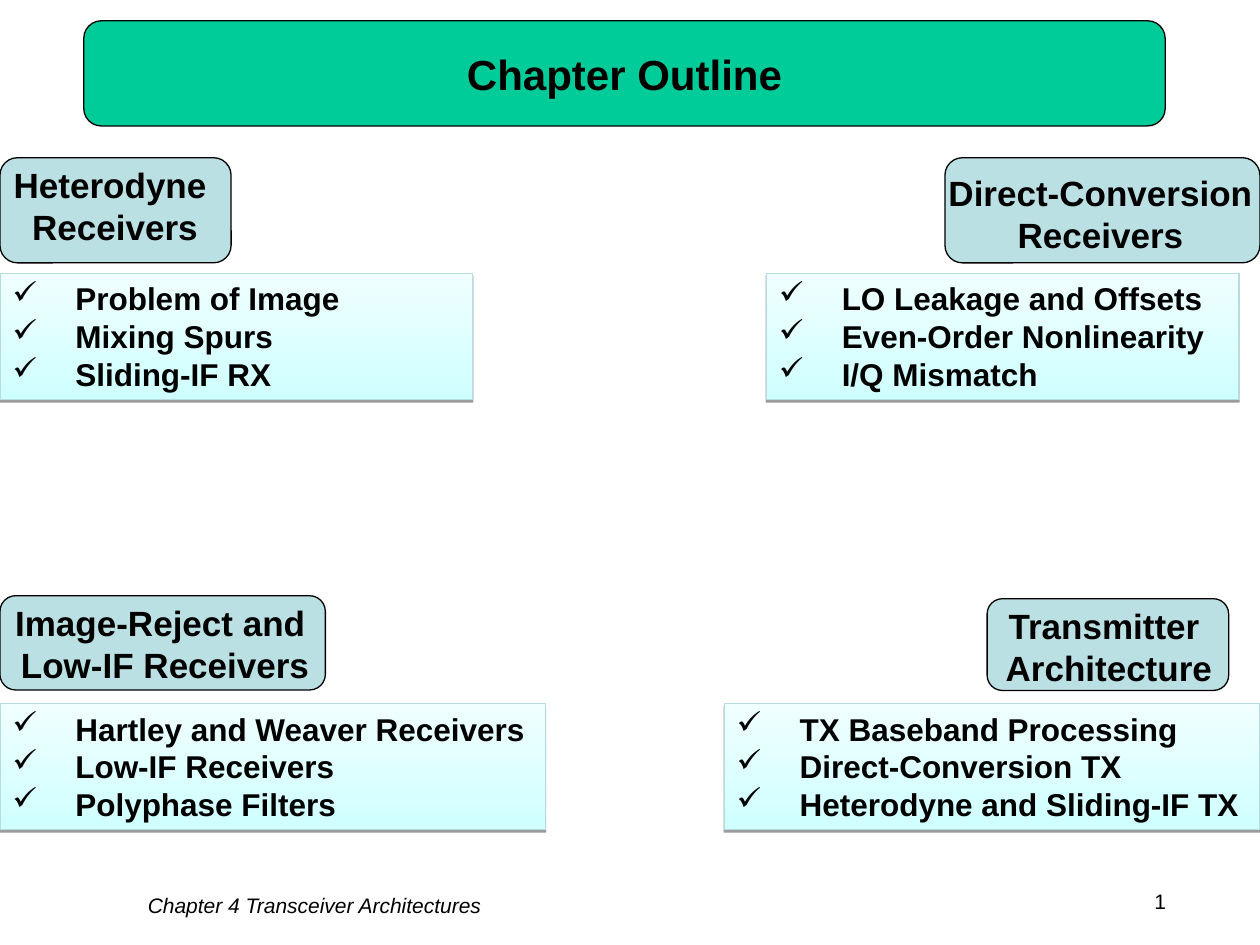
from lxml import etree
from pptx import Presentation
from pptx.dml.color import RGBColor
from pptx.enum.shapes import MSO_SHAPE
from pptx.enum.text import MSO_ANCHOR, MSO_AUTO_SIZE, PP_ALIGN
from pptx.oxml.ns import qn
from pptx.util import Cm, Pt

ROUNDED, RECT = MSO_SHAPE.ROUNDED_RECTANGLE, MSO_SHAPE.RECTANGLE
LEFT, CENTER = PP_ALIGN.LEFT, PP_ALIGN.CENTER
TOP, MIDDLE = MSO_ANCHOR.TOP, MSO_ANCHOR.MIDDLE
GROW, FIXED = MSO_AUTO_SIZE.SHAPE_TO_FIT_TEXT, MSO_AUTO_SIZE.NONE

TITLE_BOX = (1.69, 0.42, 21.8, 2.12)
HEADINGS = [
    ((0, 3.18, 4.66, 2.12), (0.02, 3.18, 4.6, 1.96), ["Heterodyne ", "Receivers"]),
    ((0, 12.01, 6.56, 1.9), (0.05, 12.01, 6.56, 1.96),
     ["Image-Reject and ", "Low-IF Receivers"]),
    ((19.9, 12.07, 4.87, 1.85), (20.02, 12.07, 4.67, 1.96),
     ["Transmitter ", "Architecture"]),
    ((19.05, 3.18, 6.35, 2.12), (18.87, 3.33, 6.63, 1.96),
     ["Direct-Conversion", "Receivers"]),
]
TOPICS = [
    ((0, 5.51, 9.53, 2.54), ["Problem of Image", "Mixing Spurs", "Sliding-IF RX"]),
    ((15.45, 5.51, 9.53, 2.54),
     ["LO Leakage and Offsets", "Even-Order Nonlinearity", "I/Q Mismatch"]),
    ((0, 14.18, 11, 2.54),
     ["Hartley and Weaver Receivers", "Low-IF Receivers", "Polyphase Filters"]),
    ((14.6, 14.18, 10.8, 2.54),
     ["TX Baseband Processing", "Direct-Conversion TX", "Heterodyne and Sliding-IF TX"]),
]


def color(value):
    """Turn a hex string into a colour."""
    return RGBColor.from_string(value)


def add_sub(parent, tag, **attrs):
    """Append a child element with attributes."""
    return etree.SubElement(parent, qn(tag), attrs)


def add_bullet(p):
    """Give a paragraph a hanging check mark."""
    pPr = p._p.get_or_add_pPr()
    pPr.set("marL", str(Cm(1.27)))
    pPr.set("indent", str(-Cm(1.27)))
    add_sub(add_sub(pPr, "a:buClr"), "a:srgbClr", val="000000")
    add_sub(pPr, "a:buChar", char="✓")


def write(tf, lines, size, align=CENTER, bullets=False, wrap=True,
          anchor=TOP, fit=GROW, **style):
    """Fill a text frame with one paragraph per line."""
    frame = {"word_wrap": wrap, "auto_size": fit, "vertical_anchor": anchor}
    for name, value in frame.items():
        setattr(tf, name, value)
    for i, line in enumerate(lines):
        p = tf.add_paragraph() if i else tf.paragraphs[0]
        p.alignment = align
        if bullets:
            add_bullet(p)
        r = p.add_run()
        r.text = line
        for name, value in {"name": "Arial", "size": Pt(size), **style}.items():
            setattr(r.font, name, value)
        r.font.color.rgb = color("000000")


def add_box(shapes, kind, box, line):
    """Add a thinly outlined shape without a shadow."""
    s = shapes.add_shape(kind, *map(Cm, box))
    s.line.color.rgb = color(line)
    s.line.width = Pt(0.75)
    s.shadow.inherit = False
    return s


def add_panel(shapes, box, fill):
    """Add a rounded panel in one colour."""
    s = add_box(shapes, ROUNDED, box, "000000")
    s.fill.solid()
    s.fill.fore_color.rgb = color(fill)


def add_text(shapes, box, lines, size, **options):
    """Add a text box."""
    write(shapes.add_textbox(*map(Cm, box)).text_frame, lines, size, **options)


def add_heading(slide, panel, box, lines):
    """Add a grouped panel and its heading."""
    shapes = slide.shapes.add_group_shape().shapes
    add_panel(shapes, panel, "BBE0E3")
    add_text(shapes, box, lines, 20, wrap=False, bold=True)


def add_topics(slide, box, lines):
    """Add a shaded check list with a drop shadow."""
    s = add_box(slide.shapes, RECT, box, "B6DCDF")
    s.fill.gradient()
    s.fill.gradient_angle = 90
    for stop, position, value in zip(s.fill.gradient_stops, (0, 1), ("CFFFFF", "F0FFFF")):
        stop.position = position
        stop.color.rgb = color(value)
    effects = s._element.spPr.find(qn("a:effectLst"))
    shadow = add_sub(effects, "a:outerShdw", blurRad="0", dist=str(Pt(1.6)),
                     dir="5400000", rotWithShape="0")
    add_sub(add_sub(shadow, "a:srgbClr", val="000000"), "a:alpha", val="38000")
    write(s.text_frame, lines, 18, align=LEFT, bullets=True, bold=True)


def main():
    """Build the chapter outline slide."""
    prs = Presentation()
    prs.slide_width, prs.slide_height = Cm(25.4), Cm(19.05)
    slide = prs.slides.add_slide(prs.slide_layouts[6])
    add_panel(slide.shapes, TITLE_BOX, "00CC99")
    add_text(slide.shapes, (0.21, 17.86, 12.27, 0.76),
             ["Chapter 4 Transceiver Architectures"], 12, italic=True)
    add_text(slide.shapes, (21.38, 17.78, 4.02, 0.76), ["1"], 12)
    add_text(slide.shapes, TITLE_BOX, ["Chapter Outline"], 24,
             anchor=MIDDLE, fit=FIXED, bold=True)
    for panel, box, lines in HEADINGS:
        add_heading(slide, panel, box, lines)
    for box, lines in TOPICS:
        add_topics(slide, box, lines)
    prs.save("out.pptx")


if __name__ == "__main__":
    main()
